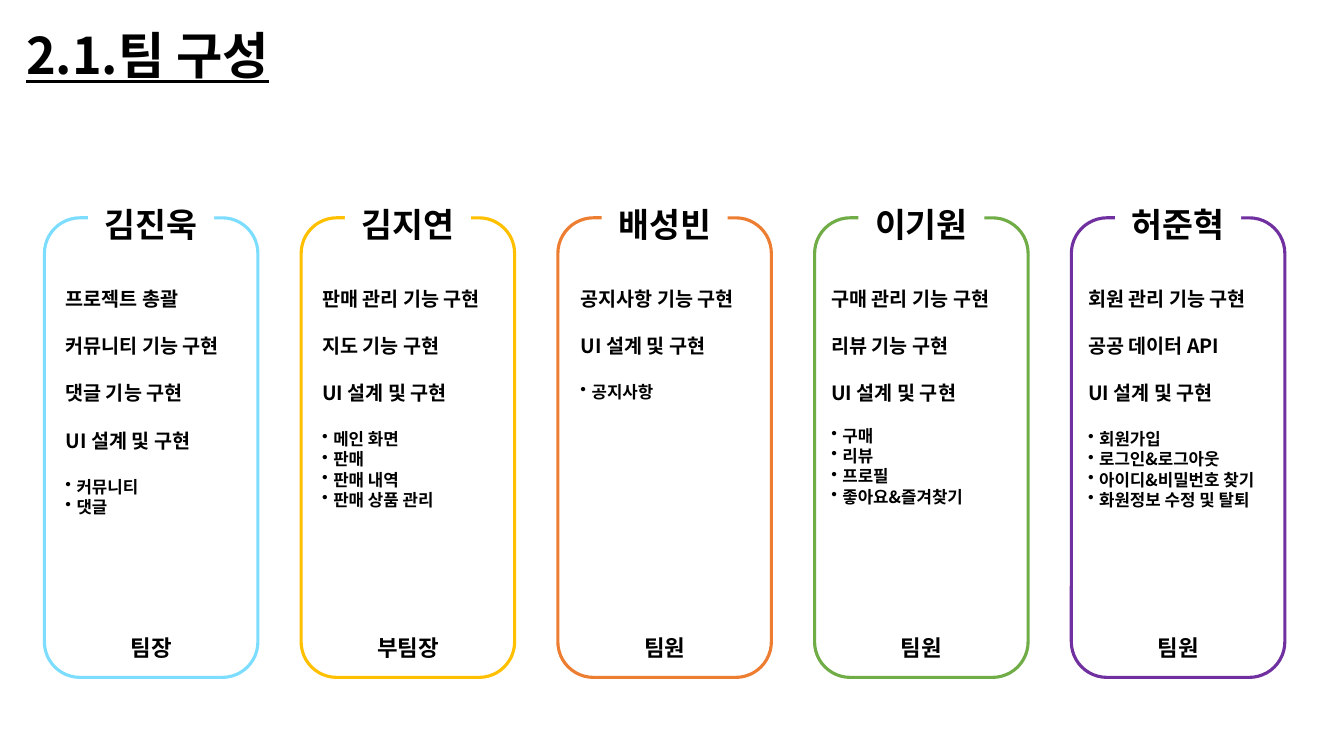
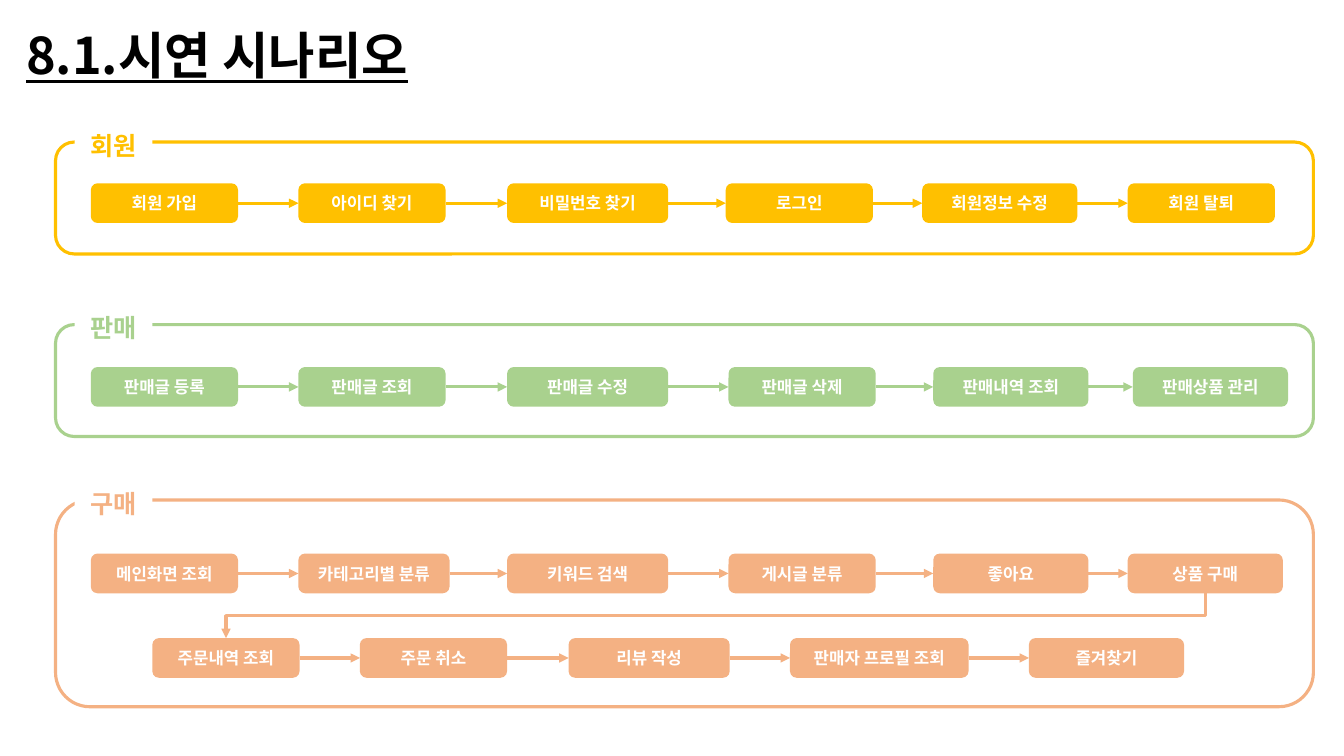
from dataclasses import dataclass

from lxml import etree
from pptx import Presentation
from pptx import util as u
from pptx.dml.color import RGBColor
from pptx.enum import shapes, text
from pptx.oxml import ns


@dataclass(frozen=True)
class Theme:
    font: str = "Noto Sans CJK KR"
    black: str = "000000"
    white: str = "FFFFFF"
    sky: str = "7DDDFF"
    gold: str = "FFC000"
    orange: str = "ED7D31"
    green: str = "70AD47"
    purple: str = "7030A0"
    mint: str = "A9D18E"
    peach: str = "F4B183"
    title: int = 36
    name: int = 24
    label: int = 18
    role: int = 16
    task: int = 14
    detail: int = 12
    leading: float = 1.21
    stroke: float = 2.25


@dataclass(frozen=True)
class Box:
    left: float
    top: float
    width: float
    height: float

    def inner(self, left, top, width, height):
        return Box(self.left + left, self.top + top, width, height)

    def lengths(self):
        return [u.Cm(n) for n in (self.left, self.top, self.width, self.height)]


THEME = Theme()
CENTER = text.PP_ALIGN.CENTER
ROUND = shapes.MSO_SHAPE.ROUNDED_RECTANGLE
RECT = shapes.MSO_SHAPE.RECTANGLE

# Name, colour, role, tasks, details, task inset (cm), gap before details (pt)
MEMBERS = [
    ("김진욱", THEME.sky, "팀장",
     ["프로젝트 총괄", "커뮤니티 기능 구현", "댓글 기능 구현", "UI 설계 및 구현"],
     ["커뮤니티", "댓글"], 0.28, 17),
    ("김지연", THEME.gold, "부팀장",
     ["판매 관리 기능 구현", "지도 기능 구현", "UI 설계 및 구현"],
     ["메인 화면", "판매", "판매 내역", "판매 상품 관리"], 0.28, 17),
    ("배성빈", THEME.orange, "팀원",
     ["공지사항 기능 구현", "UI 설계 및 구현"],
     ["공지사항"], 0.32, 17),
    ("이기원", THEME.green, "팀원",
     ["구매 관리 기능 구현", "리뷰 기능 구현", "UI 설계 및 구현"],
     ["구매", "리뷰", "프로필", "좋아요&즐겨찾기"], 0.17, 14.5),
    ("허준혁", THEME.purple, "팀원",
     ["회원 관리 기능 구현", "공공 데이터 API", "UI 설계 및 구현"],
     ["회원가입", "로그인&로그아웃", "아이디&비밀번호 찾기", "화원정보 수정 및 탈퇴"],
     0.17, 17),
]

# Label, colour, frame, rows; a row is its top and its (step, left, width) in cm
SCENARIOS = [
    ("회원", THEME.gold, Box(1.4, 3.58, 31.7, 2.82), [
        (1.04, [("회원 가입", 0.89, 3.71), ("아이디 찾기", 6.12, 3.71),
                ("비밀번호 찾기", 11.38, 4.06), ("로그인", 16.89, 3.71),
                ("회원정보 수정", 21.84, 3.91), ("회원 탈퇴", 27.02, 3.71)])]),
    ("판매", THEME.mint, Box(1.4, 8.18, 31.7, 2.82), [
        (1.07, [("판매글 등록", 0.89, 3.71), ("판매글 조회", 6.12, 3.71),
                ("판매글 수정", 11.38, 4.06), ("판매글 삭제", 16.96, 3.71),
                ("판매내역 조회", 22.12, 3.91), ("판매상품 관리", 27.15, 3.91)])]),
    ("구매", THEME.peach, Box(1.4, 12.6, 31.7, 5.21), [
        (1.35, [("메인화면 조회", 0.89, 3.71), ("카테고리별 분류", 6.12, 3.81),
                ("키워드 검색", 11.38, 4.06), ("게시글 분류", 16.96, 3.71),
                ("좋아요", 22.12, 3.91), ("상품 구매", 27.02, 3.91)]),
        (3.48, [("주문내역 조회", 2.44, 3.71), ("주문 취소", 7.67, 3.71),
                ("리뷰 작성", 12.93, 4.06), ("판매자 프로필 조회", 18.51, 4.5),
                ("즐겨찾기", 24.53, 3.91)])]),
]


def rgb(color):
    return RGBColor.from_string(color)


def write(frame, content, size, color=THEME.black, align=None, underline=False,
          before=0, bullet=False):
    """Fill the first empty paragraph, or add one, with formatted text."""
    paragraph = frame.paragraphs[0]
    if paragraph.runs:
        paragraph = frame.add_paragraph()
    paragraph.alignment = align
    paragraph.line_spacing = u.Pt(round(size * THEME.leading, 1))
    paragraph.space_before = u.Pt(before)
    if bullet:
        properties = paragraph._p.get_or_add_pPr()
        indent = u.Cm(0.28)
        properties.set("marL", str(indent))
        properties.set("indent", str(-indent))
        etree.SubElement(properties, ns.qn("a:buChar")).set("char", "•")
    run = paragraph.add_run()
    run.text = content
    run.font.name = THEME.font
    run.font.size = u.Pt(size)
    run.font.bold = True
    run.font.underline = underline
    run.font.color.rgb = rgb(color)
    east_asian = etree.SubElement(run._r.get_or_add_rPr(), ns.qn("a:ea"))
    east_asian.set("typeface", THEME.font)


def add_text_frame(slide, box):
    frame = slide.shapes.add_textbox(*box.lengths()).text_frame
    frame.word_wrap = True
    return frame


def add_block(slide, kind, box, fill=None, line=None):
    shape = slide.shapes.add_shape(kind, *box.lengths())
    shape.shadow.inherit = False
    if fill:
        shape.fill.solid()
        shape.fill.fore_color.rgb = rgb(fill)
    else:
        shape.fill.background()
    if line:
        shape.line.color.rgb = rgb(line)
        shape.line.width = u.Pt(THEME.stroke)
    else:
        shape.line.fill.background()
    return shape


def add_outline(slide, box, color, plate, label, size, label_color):
    """Rounded outline whose top edge is interrupted by a label."""
    add_block(slide, ROUND, box, line=color)
    frame = add_block(slide, RECT, plate, fill=THEME.white).text_frame
    frame.word_wrap = False
    write(frame, label, size, label_color, CENTER)


def add_arrow(slide, kind, color, begin=(0, 0), end=(0, 0)):
    arrow = slide.shapes.add_connector(kind, *begin, *end)
    arrow.line.color.rgb = rgb(color)
    arrow.line.width = u.Pt(THEME.stroke)
    etree.SubElement(arrow.line._get_or_add_ln(), ns.qn("a:tailEnd")).set("type", "triangle")
    etree.SubElement(arrow._element.spPr, ns.qn("a:effectLst"))
    return arrow


def add_title_slide(presentation, title):
    slide = presentation.slides.add_slide(presentation.slide_layouts[6])
    frame = add_text_frame(slide, Box(0.41, 0.46, 14, 1.8))
    write(frame, title, THEME.title, underline=True)
    return slide


# Team slide
def add_member_card(slide, box, member):
    name, color, role, tasks, details, inset, detail_gap = member
    plate_width = 3.18
    plate = box.inner((box.width - plate_width) / 2, -0.48, plate_width, 1.27)
    add_outline(slide, box, color, plate, name, THEME.name, THEME.black)

    frame = add_text_frame(slide, box.inner(inset, 1.6, box.width - inset, 6.2))
    for index, task in enumerate(tasks):
        write(frame, task, THEME.task, before=17 if index else 0)
    for index, detail in enumerate(details):
        write(frame, detail, THEME.detail, before=0 if index else detail_gap, bullet=True)

    role_frame = add_text_frame(slide, box.inner(0, 10.37, box.width, 0.94))
    write(role_frame, role, THEME.role, align=CENTER)


def build_team(presentation):
    slide = add_title_slide(presentation, "2.1.팀 구성")
    for index, member in enumerate(MEMBERS):
        add_member_card(slide, Box(1.12 + index * 6.47, 5.49, 5.38, 11.58), member)


# Scenario slide
def add_step_row(slide, box, color, top, steps):
    nodes = []
    for label, left, width in steps:
        node = add_block(slide, ROUND, box.inner(left, top, width, 1), fill=color)
        write(node.text_frame, label, THEME.detail, THEME.white, CENTER)
        nodes.append(node)
    right_side, left_side = 3, 1
    for before, after in zip(nodes, nodes[1:]):
        arrow = add_arrow(slide, shapes.MSO_CONNECTOR.STRAIGHT, color)
        arrow.begin_connect(before, right_side)
        arrow.end_connect(after, left_side)
    return nodes


def add_row_return(slide, color, last, first):
    """Elbow from under the last step of a row to above the next row's first."""
    start_x, start_y = last.left + last.width // 2, last.top + last.height
    end_x, end_y = first.left + first.width // 2, first.top
    center_x, center_y = (start_x + end_x) // 2, (start_y + end_y) // 2
    half_width, half_height = (end_y - start_y) // 2, (start_x - end_x) // 2
    # Drawn upright, then turned a quarter so that it leaves downwards
    arrow = add_arrow(slide, shapes.MSO_CONNECTOR.ELBOW, color,
                      (center_x - half_width, center_y - half_height),
                      (center_x + half_width, center_y + half_height))
    arrow._element.spPr.find(ns.qn("a:xfrm")).set("rot", str(90 * 60000))


def add_scenario(slide, label, color, box, rows):
    plate = box.inner(0.48, -0.43, 1.96, 1.02)
    add_outline(slide, box, color, plate, label, THEME.label, color)
    node_rows = [add_step_row(slide, box, color, top, steps) for top, steps in rows]
    for upper, lower in zip(node_rows, node_rows[1:]):
        add_row_return(slide, color, upper[-1], lower[0])


def build_scenarios(presentation):
    slide = add_title_slide(presentation, "8.1.시연 시나리오")
    for scenario in SCENARIOS:
        add_scenario(slide, *scenario)


def main():
    presentation = Presentation()
    presentation.slide_width = u.Cm(33.87)
    presentation.slide_height = u.Cm(19.05)
    build_team(presentation)
    build_scenarios(presentation)
    presentation.save("out.pptx")


if __name__ == "__main__":
    main()
